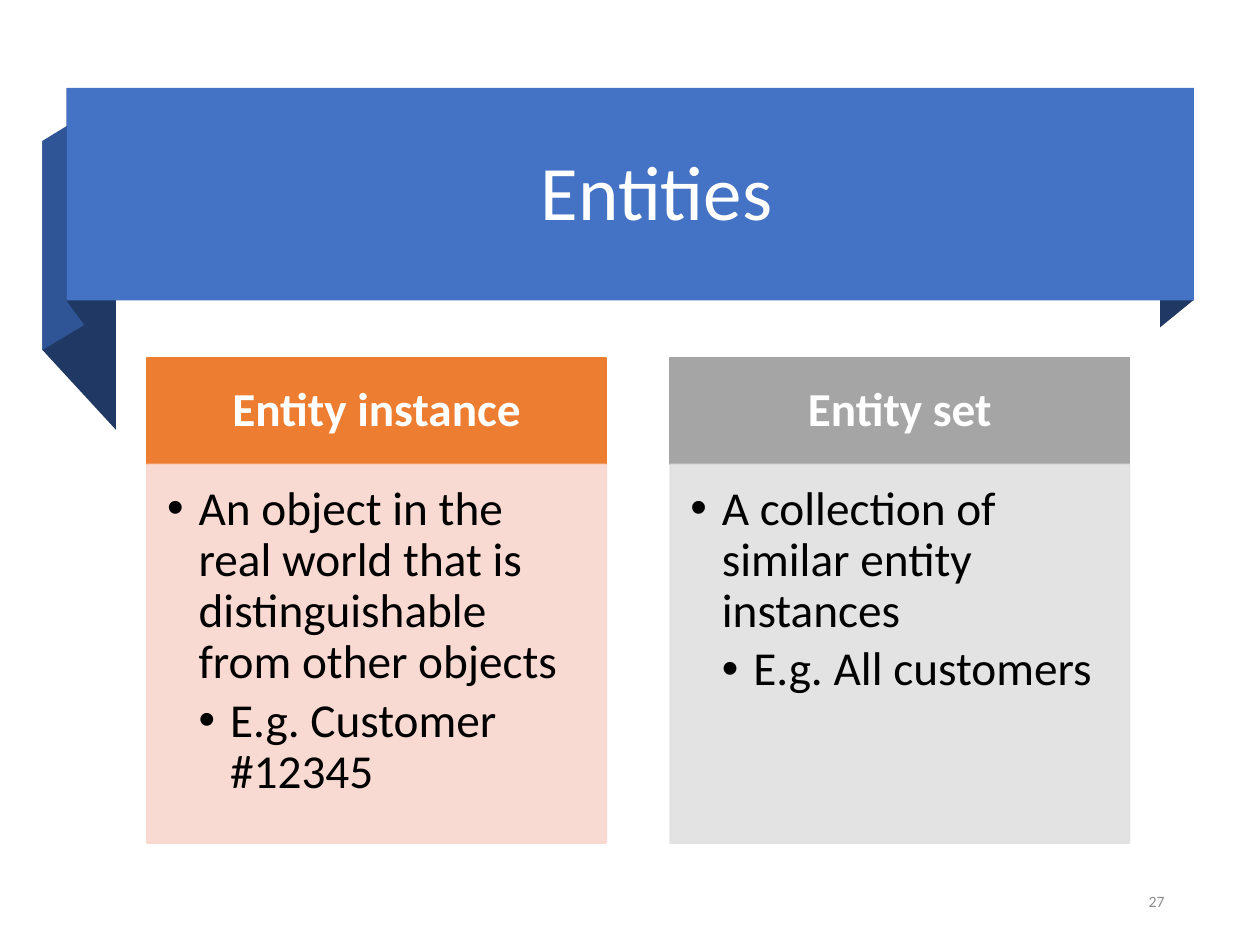
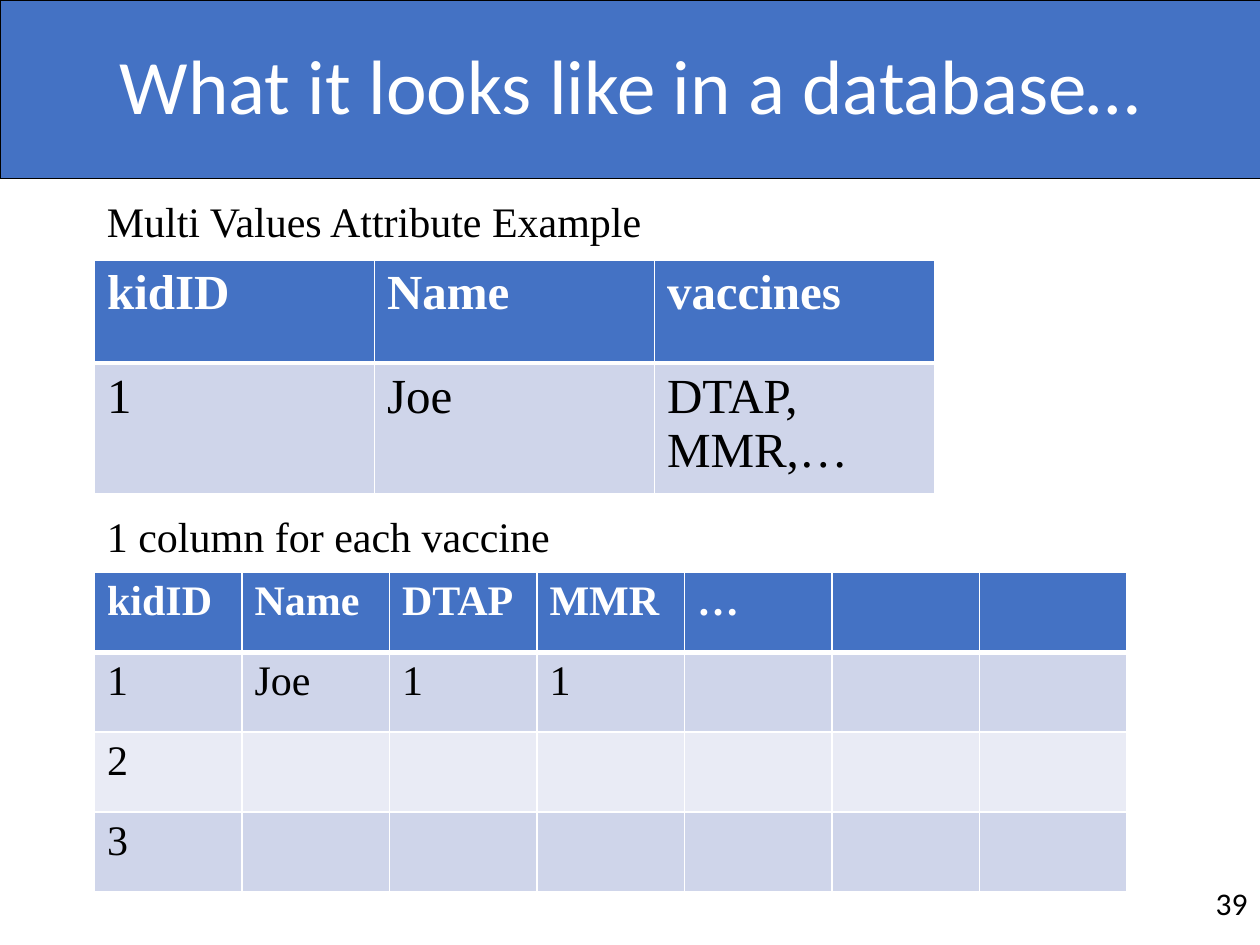
from lxml import etree
from pptx import Presentation
from pptx.dml.color import RGBColor
from pptx.enum.shapes import MSO_SHAPE
from pptx.enum.text import MSO_ANCHOR, MSO_AUTO_SIZE, PP_ALIGN
from pptx.oxml.ns import qn
from pptx.util import Pt

RECT = MSO_SHAPE.RECTANGLE
TOP, MIDDLE = MSO_ANCHOR.TOP, MSO_ANCHOR.MIDDLE
LEFT, CENTER, RIGHT = PP_ALIGN.LEFT, PP_ALIGN.CENTER, PP_ALIGN.RIGHT
NO_FIT = MSO_AUTO_SIZE.NONE
TITLE_ONLY, COMPARISON = 5, 4

SANS, SERIF = "Calibri", "Times New Roman"
COLORS = {
    "blue": "4472C4", "mid": "2F5597", "navy": "203864",
    "orange": "ED7D31", "peach": "F8D7CE",
    "gray": "A5A5A5", "pale": "E1E1E1", "number": "8C8C8C",
    "band1": "CFD5EA", "band2": "E9EBF5",
    "white": "FFFFFF", "black": "000000",
}


def rgb(name):
    return RGBColor.from_string(COLORS[name])


class Deck:
    """Holds the shared style and the current slide."""

    def __init__(self):
        self.prs = Presentation()
        self.prs.slide_width, self.prs.slide_height = Pt(720), Pt(540)
        self.s = None

    def slide(self, layout):
        self.s = self.prs.slides.add_slide(self.prs.slide_layouts[layout])

    def place(self, sp, box):
        sp.left, sp.top, sp.width, sp.height = (Pt(v) for v in box)

    def paint(self, sp, fill, line=None, width=1.0, alpha=None):
        sp.fill.solid()
        sp.fill.fore_color.rgb = rgb(fill)
        if line:
            sp.line.color.rgb = rgb(line)
            sp.line.width = Pt(width)
        else:
            sp.line.fill.background()
        if alpha:
            for clr in sp.element.spPr.iter(qn("a:srgbClr")):
                etree.SubElement(clr, qn("a:alpha")).set("val", str(alpha * 1000))

    def style(self, p, size, color, font=SANS, bold=False, align=LEFT):
        p.alignment = align
        for r in p.runs:
            r.font.size, r.font.bold, r.font.name = Pt(size), bold, font
            r.font.color.rgb = rgb(color)

    def title(self, text, box):
        sp = self.s.shapes.title
        self.place(sp, box)
        tf = sp.text_frame
        tf.text = text
        tf.auto_size, tf.vertical_anchor = NO_FIT, MIDDLE
        tf.paragraphs[0].line_spacing = 0.9
        self.style(tf.paragraphs[0], 44, "white", align=CENTER)
        sp.element.getparent().append(sp.element)
        return sp

    def text(self, text, box, size, color="black", font=SANS, align=LEFT,
             anchor=TOP, wrap=True):
        tf = self.s.shapes.add_textbox(*(Pt(v) for v in box)).text_frame
        tf.text = text
        tf.word_wrap, tf.vertical_anchor = wrap, anchor
        self.style(tf.paragraphs[0], size, color, font, align=align)

    def rect(self, box, fill):
        sp = self.s.shapes.add_shape(RECT, *(Pt(v) for v in box))
        sp.shadow.inherit = False
        self.paint(sp, fill)

    def fold(self, fill, left, right):
        (x1, top1, bottom1), (x2, top2, bottom2) = left, right
        fb = self.s.shapes.build_freeform(Pt(x1), Pt(top1))
        corners = [(x2, top2), (x2, bottom2), (x1, bottom1)]
        fb.add_line_segments([(Pt(x), Pt(y)) for x, y in corners])
        sp = fb.convert_to_shape()
        sp.shadow.inherit = False
        self.paint(sp, fill)

    def heading(self, idx, text, box, fill):
        sp = self.s.placeholders[idx]
        self.place(sp, box)
        self.paint(sp, fill, fill)
        tf = sp.text_frame
        tf.text = text
        tf.auto_size, tf.vertical_anchor = NO_FIT, MIDDLE
        p = tf.paragraphs[0]
        p.line_spacing, p.space_before = 0.9, Pt(0)
        self.style(p, 27, "white", bold=True, align=CENTER)

    def bullets(self, idx, lines, box, fill):
        sp = self.s.placeholders[idx]
        self.place(sp, box)
        self.paint(sp, fill, fill, alpha=90)
        tf = sp.text_frame
        tf.text = "\n".join(lines)
        tf.auto_size, tf.vertical_anchor = NO_FIT, TOP
        tf.margin_left = tf.margin_top = Pt(11.5)
        tf.margin_right, tf.margin_bottom = Pt(15.4), Pt(17.3)
        for level, p in enumerate(tf.paragraphs):
            p.level = level
            pPr = p._p.get_or_add_pPr()
            pPr.set("marL", str(Pt(18 * (level + 1))))
            pPr.set("indent", str(-Pt(18)))
            etree.SubElement(pPr, qn("a:buFont")).set("typeface", "Arial")
            etree.SubElement(pPr, qn("a:buChar")).set("char", "•")
            p.line_spacing, p.space_before, p.space_after = 0.9, Pt(0), Pt(4)
            self.style(p, 27, "black")

    def border(self, cell, row):
        tcPr = cell._tc.get_or_add_tcPr()
        thick = {"lnB": 0, "lnT": 1}
        for side in ("lnL", "lnR", "lnT", "lnB"):
            width = 3 if thick.get(side) == row else 1
            ln = etree.SubElement(tcPr, qn("a:" + side), w=str(Pt(width)))
            fill = etree.SubElement(ln, qn("a:solidFill"))
            etree.SubElement(fill, qn("a:srgbClr"), val=COLORS["white"])

    def table(self, rows, left, top, col_width, row_height, size):
        n, m = len(rows), len(rows[0])
        frame = self.s.shapes.add_table(n, m, Pt(left), Pt(top),
                                        Pt(col_width * m), Pt(row_height * n))
        tbl = frame.table
        for col in tbl.columns:
            col.width = Pt(col_width)
        for i, row in enumerate(rows):
            tbl.rows[i].height = Pt(row_height)
            fill = "blue" if i == 0 else ("band2", "band1")[i % 2]
            for j, value in enumerate(row):
                cell = tbl.cell(i, j)
                self.border(cell, i)
                cell.fill.solid()
                cell.fill.fore_color.rgb = rgb(fill)
                if value:
                    cell.text = value
                    self.style(cell.text_frame.paragraphs[0], size,
                               "black" if i else "white", SERIF, bold=i == 0)


def entities(deck):
    deck.slide(COMPARISON)
    deck.fold("navy", (663, 65.5, 187), (682, 50.4, 171.5))
    deck.fold("navy", (24.3, 80.5, 200), (66.2, 126, 245.5))
    deck.fold("mid", (24.3, 80.5, 200), (48, 66, 185.8))
    deck.fold("navy", (38, 50.4, 171.8), (48, 64, 185.4))
    deck.rect((38, 50.2, 644.3, 121.4), "blue")
    deck.title("Entities", (80, 59.8, 590.4, 104.4))
    columns = [
        ("Entity instance", "orange", "peach",
         ["An object in the real world that is distinguishable from other objects",
          "E.g. Customer #12345"]),
        ("Entity set", "gray", "pale",
         ["A collection of similar entity instances", "E.g. All customers"]),
    ]
    for i, (head, dark, light, lines) in enumerate(columns):
        x = 84 + 299 * i
        deck.heading(1 + 2 * i, head, (x, 204.5, 262.4, 61), dark)
        deck.bullets(2 + 2 * i, lines, (x, 265.5, 262.4, 216.2), light)
    deck.text("27", (632, 502.5, 40.5, 25), 9, "number", align=RIGHT, anchor=MIDDLE)


def vaccine_tables(deck):
    deck.slide(TITLE_ONLY)
    sp = deck.title("What it looks like in a database…", (0, 0, 720.5, 102))
    deck.paint(sp, "blue", "black", 0.75)
    deck.text("Multi Values Attribute Example", (54, 108, 322.6, 36), 24,
              font=SERIF, wrap=False)
    deck.table([["kidID", "Name", "vaccines"], ["1", "Joe", "DTAP, MMR,…"]],
               54, 148.5, 160, 59, 28)
    deck.text("1 column for each vaccine", (54, 288, 269.3, 36), 24,
              font=SERIF, wrap=False)
    rows = [["kidID", "Name", "DTAP", "MMR", "…"], ["1", "Joe", "1", "1"], ["2"], ["3"]]
    deck.table([row + [""] * (7 - len(row)) for row in rows],
               54, 327, 84.3, 45.7, 24)
    deck.text("39", (684, 497, 36, 37.5), 18, align=RIGHT, anchor=MIDDLE)


def main():
    deck = Deck()
    entities(deck)
    vaccine_tables(deck)
    deck.prs.save("out.pptx")


if __name__ == "__main__":
    main()
